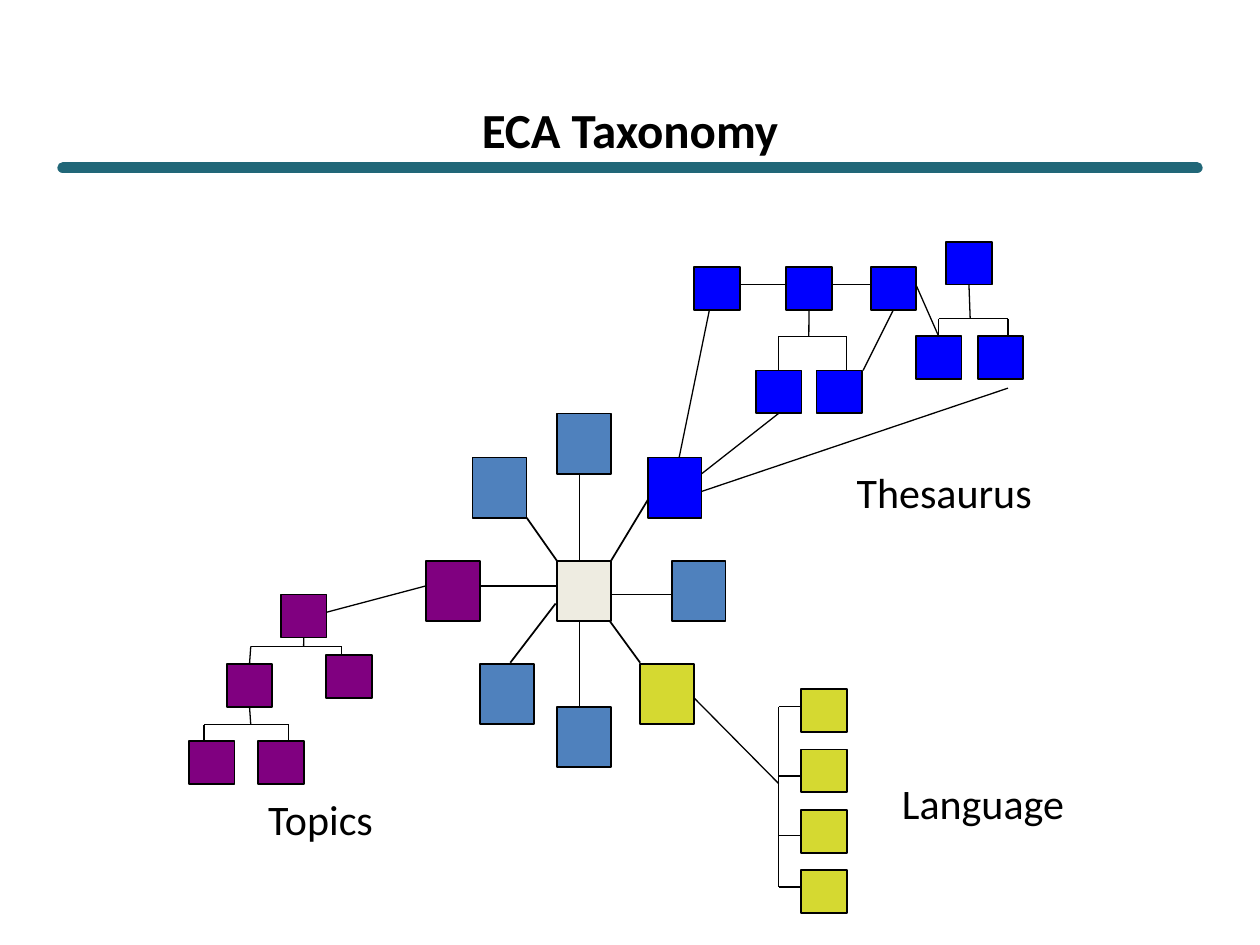
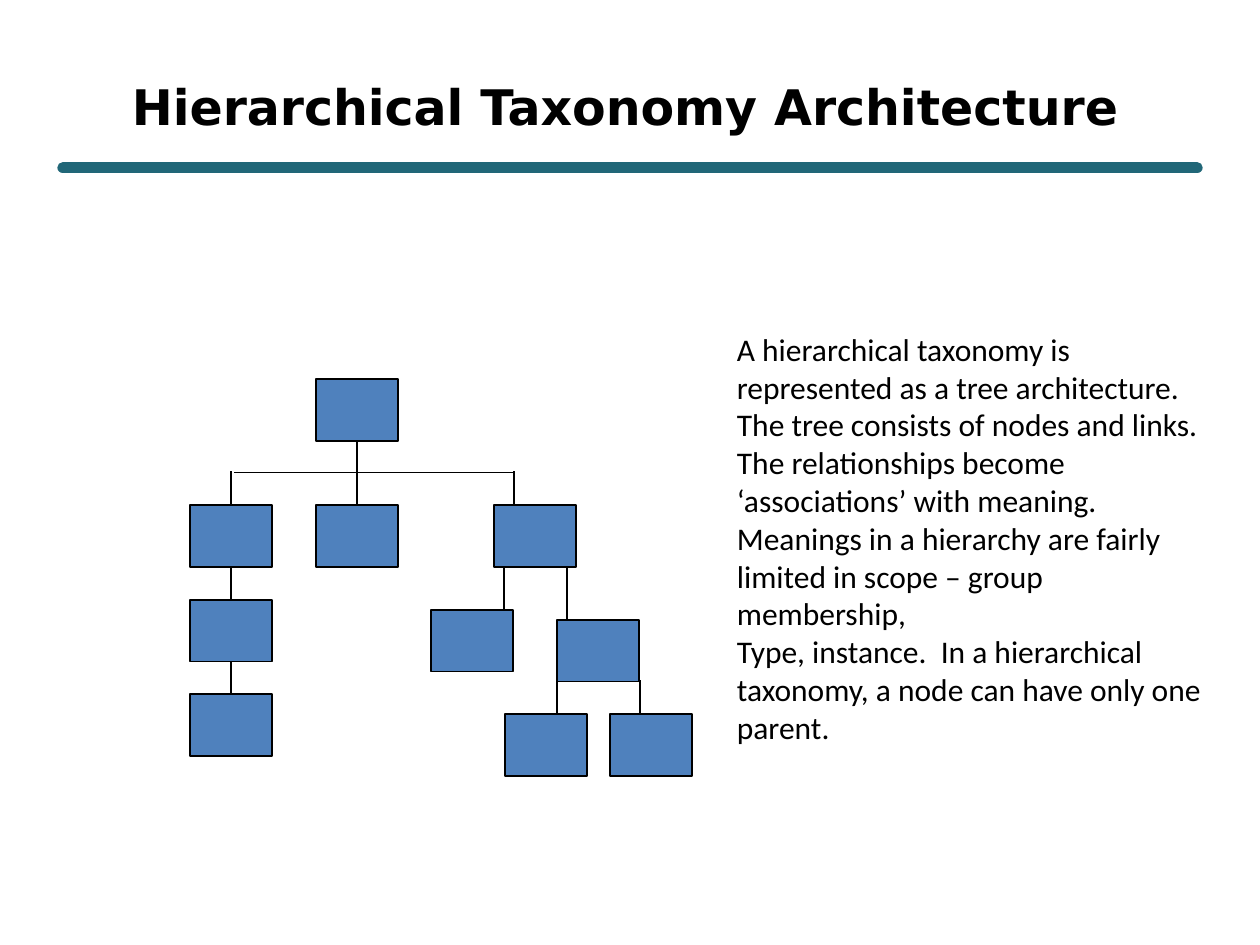
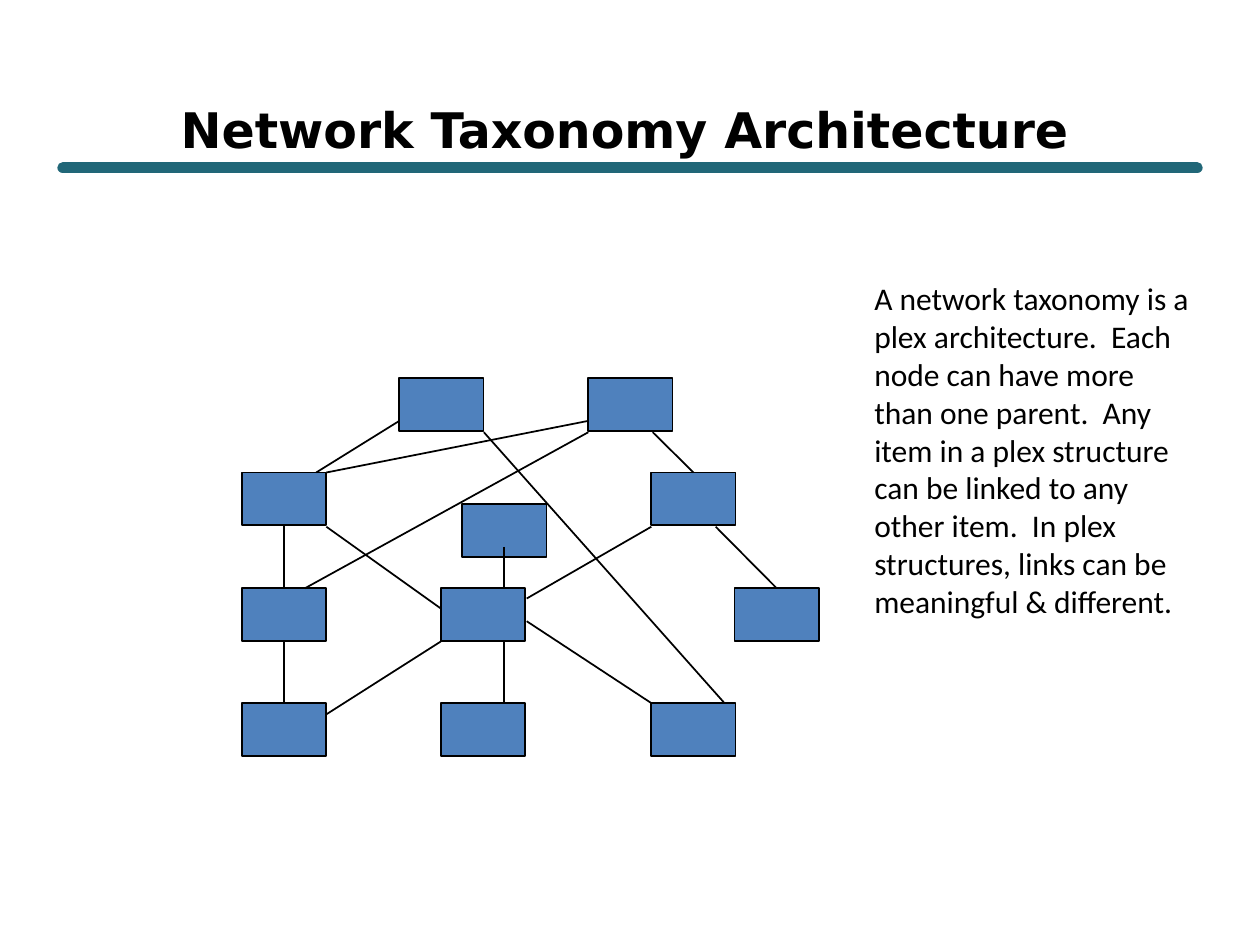
"""Build three slides on taxonomy architectures."""
from math import hypot

from lxml.etree import SubElement
from pptx import Presentation
from pptx.dml.color import RGBColor
from pptx.enum.shapes import MSO_CONNECTOR, MSO_SHAPE, MSO_SHAPE_TYPE
from pptx.enum.text import MSO_ANCHOR, PP_ALIGN
from pptx.oxml.ns import qn
from pptx.util import Pt

BLACK = "000000"
TEAL = "216778"
STEEL = "4F81BD"
CREAM = "EEECE1"
BLUE = "0000FF"
LIME = "D5D931"
PURPLE = "800080"
JOIN_DISTANCE = Pt(1.5)


def add_nodes(page, fill, width, height, corners):
    for left, top in corners:
        node = page.shapes.add_shape(MSO_SHAPE.RECTANGLE, Pt(left), Pt(top), Pt(width), Pt(height))
        node.shadow.inherit = False
        node.fill.solid()
        node.fill.fore_color.rgb = RGBColor.from_string(fill)
        node.line.color.rgb = RGBColor.from_string(BLACK)
        node.line.width = Pt(1)


def add_links(page, color, weight, ends):
    nodes = [shape for shape in page.shapes if shape.shape_type == MSO_SHAPE_TYPE.AUTO_SHAPE]
    links = []
    for x1, y1, x2, y2 in ends:
        link = page.shapes.add_connector(MSO_CONNECTOR.STRAIGHT, Pt(x1), Pt(y1), Pt(x2), Pt(y2))
        link.line.color.rgb = RGBColor.from_string(color)
        link.line.width = Pt(weight)
        SubElement(link._element.spPr, qn("a:effectLst"))
        for node in nodes:
            middle, center = node.left + node.width // 2, node.top + node.height // 2
            sides = [(middle, node.top), (node.left, center),
                     (middle, node.top + node.height), (node.left + node.width, center)]
            for side, (x, y) in enumerate(sides):
                if hypot(x - Pt(x1), y - Pt(y1)) < JOIN_DISTANCE:
                    link.begin_connect(node, side)
                if hypot(x - Pt(x2), y - Pt(y2)) < JOIN_DISTANCE:
                    link.end_connect(node, side)
        links.append(link)
    return links


deck = Presentation()
deck.slide_width, deck.slide_height = Pt(720), Pt(540)
pages = [deck.slides.add_slide(deck.slide_layouts[6]) for number in range(3)]
eca, hierarchy, network = pages

for page in pages:
    band, = add_links(page, TEAL, 6.5, [(36, 95.8, 684, 95.8)])
    band.get_or_add_ln().set("cap", "rnd")

titles = [
    (eca, "ECA Taxonomy", "Calibri", 36, 59.8, 648, 27.4),
    (hierarchy, "Hierarchical Taxonomy Architecture", "DejaVu Sans", 30.2, 31, 653.8, 59),
    (network, "Network Taxonomy Architecture", "DejaVu Sans", 23.8, 49, 666, 49.7),
]
for page, title, font, left, top, width, height in titles:
    box = page.shapes.add_textbox(Pt(left), Pt(top), Pt(width), Pt(height))
    frame = box.text_frame
    frame.word_wrap = True
    frame.vertical_anchor = MSO_ANCHOR.MIDDLE
    frame.margin_top = frame.margin_bottom = 0
    para = frame.paragraphs[0]
    para.alignment = PP_ALIGN.CENTER
    span = para.add_run()
    span.text = title
    span.font.name = font
    span.font.size = Pt(28)
    span.font.bold = True
    span.font.color.rgb = RGBColor.from_string(BLACK)

wheel = [
    (CREAM, [(318.2, 320.4)]),
    (BLUE, [(370.1, 261.4)]),
    (LIME, [(365.8, 379.4)]),
    (PURPLE, [(243.4, 320.4)]),
    (STEEL, [(383.8, 320.4), (318.2, 403.9), (274.3, 379.4), (270, 261.4), (318.2, 236.2)]),
]
for fill, corners in wheel:
    add_nodes(eca, fill, 30.8, 34.5, corners)

facets = [
    (PURPLE, [(160.6, 339.8), (129.6, 379.4), (186.5, 374.4), (108, 423.4), (147.6, 423.4)]),
    (LIME, [(457.9, 393.8 + 34.5 * row) for row in range(4)]),
    (BLUE, [(396.7, 152.6), (449.3, 152.6), (497.5, 152.6), (432, 211.7), (466.6, 211.7),
            (540.7, 138.2), (523.4, 192.2), (558.7, 192.2)]),
]
for fill, corners in facets:
    add_nodes(eca, fill, 26, 24.5, corners)

spokes = [
    (331.2, 271.4, 331.2, 320.4), (370.1, 285.8, 349.2, 320.4),
    (383.8, 339.8, 349.2, 339.8), (365.8, 378.7, 348.5, 355),
    (331.2, 403.2, 331.2, 355), (291.6, 378.7, 317.5, 344.9),
    (274.3, 334.8, 318.2, 334.8), (301, 295.9, 318.2, 320.4),
]
add_links(eca, BLACK, 1, spokes)

brackets = [
    (173.5, 364.3, 369.4, 143.3, 379.4, 195.1, 374.4),
    (143.3, 403.9, 414, 116.6, 423.4, 164.9, 423.4),
    (462.2, 177.1, 192.2, 445, 211.7, 483.8, 211.7),
    (554.4, 162.7, 182.2, 536.4, 192.2, 576, 192.2),
]
for stem, top, bar, left, left_end, right, right_end in brackets:
    add_links(eca, BLACK, 0.75, [
        (stem, top, stem, bar), (left, bar, right, bar),
        (left, bar, left, left_end), (right, bar, right, right_end),
    ])

facet_links = [
    (186.5, 349.9, 243.4, 334.8), (396.7, 398.9, 445, 447.8), (445, 403.9, 445, 506.9),
    (388.1, 261.4, 405.4, 177.1), (401, 270.7, 445, 236.2), (401, 280.8, 576, 221.8),
    (422.6, 162.7, 449.3, 162.7), (475.2, 162.7, 497.5, 162.7),
    (523.4, 162.7, 536.4, 192.2), (510.5, 177.1, 493.2, 211.7),
]
language_links = [(445, y, 457.9, y) for y in (403.9, 443.5, 477.4, 506.9)]
add_links(eca, BLACK, 0.75, facet_links + language_links)

tree_nodes = [
    (180.7, 216.7),
    (108.7, 288.7), (180.7, 288.7), (282.2, 288.7),
    (108.7, 342.7), (246.2, 348.5), (318.2, 354.2),
    (108.7, 396.7), (288.7, 408.2), (348.5, 408.2),
]
add_nodes(hierarchy, STEEL, 46.8, 35.3, tree_nodes)
tree_links = [
    (204.1, 253.4, 204.1, 269.3), (133.9, 270, 293, 270),
    (132.1, 288, 132.1, 269.3), (204.1, 288, 204.1, 269.3), (293.8, 288, 293.8, 269.3),
    (132.1, 342, 132.1, 323.3), (132.1, 396, 132.1, 377.3),
    (288, 348.5, 288, 323.3), (324, 354.2, 324, 323.3),
    (318.2, 408.2, 318.2, 388.8), (365.8, 408.2, 365.8, 388.8),
]
add_links(hierarchy, BLACK, 1, tree_links)

plex_nodes = [
    (228.2, 216), (336.2, 216),
    (138.2, 270), (264.2, 288), (372.2, 270),
    (138.2, 336.2), (252, 336.2), (419.8, 336.2),
    (138.2, 401.8), (252, 401.8), (372.2, 401.8),
]
add_nodes(network, STEEL, 48.2, 30.2, plex_nodes)
plex_links = [
    (228.2, 240.5, 180.7, 270), (336.2, 240.5, 186.5, 270),
    (373, 247, 396, 270), (409, 301, 444.2, 336.2),
    (288, 312.5, 288, 336.2), (288, 366.5, 288, 401.8),
    (276.5, 247, 414, 401.8), (372.2, 301, 301, 342),
    (252, 366.5, 186.5, 408.2), (162.3, 301, 162.3, 336.2),
    (162.3, 366.5, 162.3, 401.8), (186.5, 301, 252, 347.8),
    (301, 355, 372.2, 401.8), (336.2, 247, 174.2, 336.2),
]
add_links(network, BLACK, 1, plex_links)

texts = [
    (eca, 482.4, 262.8, 114.5, 36, 24, False, ["Thesaurus"]),
    (eca, 146.2, 450, 81.4, 36, 24, False, ["Topics"]),
    (eca, 508.3, 440.6, 107.3, 36, 24, False, ["Language"]),
    (hierarchy, 414, 185, 282.2, 266.4, 18, True, [
        "A hierarchical taxonomy is",
        "represented as a tree architecture. The tree consists of nodes and links. "
        "The relationships become ‘associations’ with meaning.  Meanings in a hierarchy "
        "are fairly limited in scope – group membership,",
        "Type, instance.  In a hierarchical taxonomy, a node can have only one parent.",
    ]),
    (network, 492.5, 156.2, 198, 201.6, 18, True, [
        "A network taxonomy is a plex architecture.  Each node can have more than one "
        "parent.  Any item in a plex structure can be linked to any other item.  In plex "
        "structures, links can be meaningful & different.",
    ]),
]
for page, left, top, width, height, size, wrap, lines in texts:
    box = page.shapes.add_textbox(Pt(left), Pt(top), Pt(width), Pt(height))
    frame = box.text_frame
    frame.word_wrap = wrap
    for index, line in enumerate(lines):
        para = frame.add_paragraph() if index else frame.paragraphs[0]
        span = para.add_run()
        span.text = line
        span.font.name = "Calibri"
        span.font.size = Pt(size)
        span.font.color.rgb = RGBColor.from_string(BLACK)

deck.save("out.pptx")
